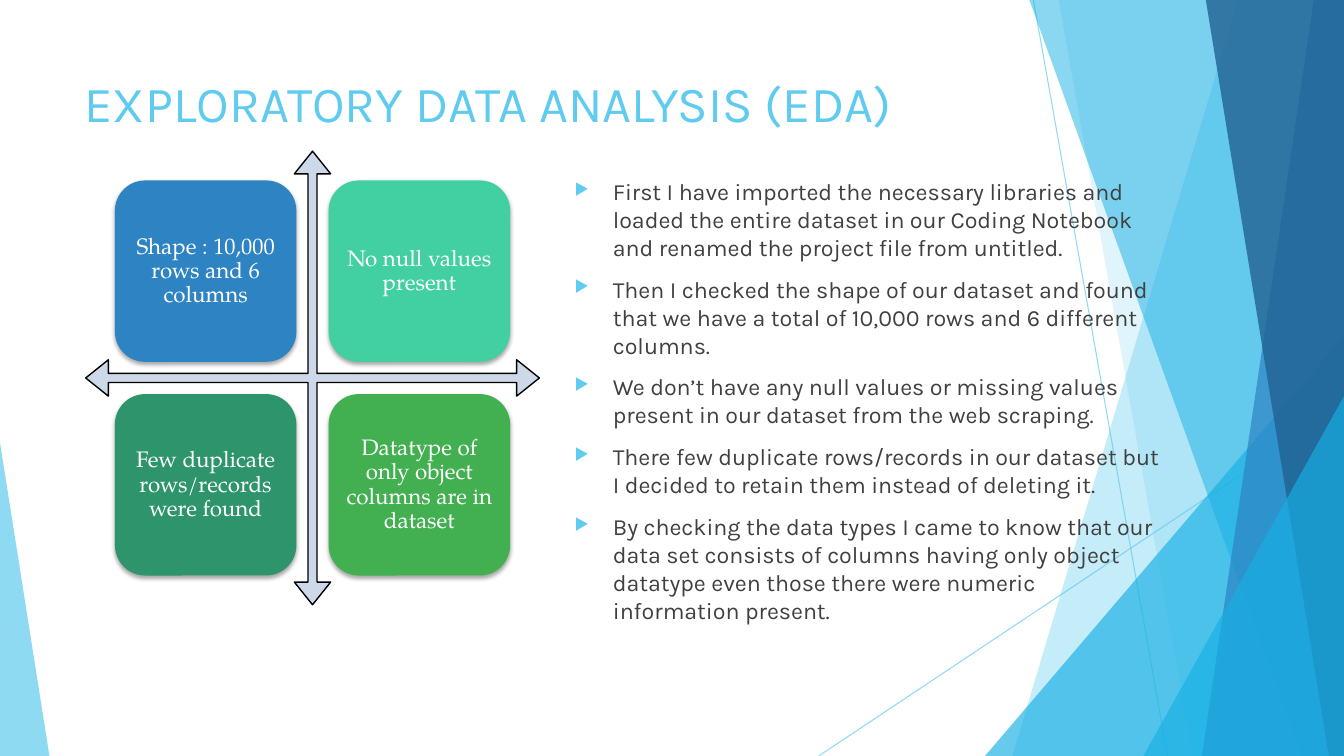
from lxml.etree import SubElement
from pptx import Presentation
from pptx.dml.color import RGBColor
from pptx.enum.shapes import MSO_CONNECTOR, MSO_SHAPE
from pptx.enum.text import MSO_ANCHOR, MSO_AUTO_SIZE, PP_ALIGN
from pptx.oxml.ns import qn
from pptx.util import Inches, Pt

SKY, CYAN, BLUE, NAVY = "5FCBEF", "17B0E4", "2E83C3", "226292"

RAYS = [((10.25, 0), (11.58, 7.5)), ((13.33, 4.03), (8.12, 7.5))]
LOWER_BANDS = [(12.28, 10.04, SKY, 36), (10.5, 11.83, SKY, 20)]
UPPER_BANDS = [
    (10.21, 12.91, CYAN, 50),
    (13.03, 11.92, BLUE, 70),
    (11.96, 13.18, NAVY, 80),
]
FINDINGS = [
    ("Shape : 10,000 rows and 6 columns", BLUE),
    ("No null values present", "42D0A2"),
    ("Few duplicate rows/records were found", "2E946B"),
    ("Datatype of only object columns are in dataset", "42B051"),
]
STEPS = [
    "First I have imported the necessary libraries and loaded the entire dataset in our "
    "Coding Notebook and renamed the project file from untitled.",
    "Then I checked the shape of our dataset and found that we have a total of 10,000 rows "
    "and 6 different columns.",
    "We don’t have any null values or missing values present in our dataset from the web "
    "scraping.",
    "There few duplicate rows/records in our dataset but I decided to retain them instead "
    "of deleting it.",
    "By checking the data types I came to know that our data set consists of columns having "
    "only object datatype even those there were numeric information present.",
]


def rgb(code):
    return RGBColor.from_string(code)


def box(*lengths):
    return [Inches(length) for length in lengths]


def set_all(target, values):
    for name, value in values.items():
        setattr(target, name, value)


def add_element(parent, tag, **attributes):
    return SubElement(parent, qn(tag), attributes)


def set_alpha(owner, percent):
    for color in owner.iter(qn("a:srgbClr")):
        add_element(color, "a:alpha", val=str(percent * 1000))


def paint(shape, color, alpha=100):
    shape.shadow.inherit = False
    shape.fill.solid()
    shape.fill.fore_color.rgb = rgb(color)
    shape.line.fill.background()
    if alpha < 100:
        set_alpha(shape._element.spPr, alpha)


def format_frame(frame, margin_x, margin_y, anchor):
    set_all(frame, {
        "word_wrap": True,
        "auto_size": MSO_AUTO_SIZE.NONE,
        "vertical_anchor": anchor,
        "margin_left": Inches(margin_x),
        "margin_right": Inches(margin_x),
        "margin_top": Inches(margin_y),
        "margin_bottom": Inches(margin_y),
    })


def write(paragraph, text, font, size, color, **layout):
    run = paragraph.add_run()
    run.text = text
    set_all(run.font, {"name": font, "size": Pt(size)})
    run.font.color.rgb = rgb(color)
    set_all(paragraph, layout)


def add_ray(slide, start, end):
    ray = slide.shapes.add_connector(MSO_CONNECTOR.STRAIGHT, *box(*start, *end))
    ray.line.width = Pt(0.75)
    ray.line.color.rgb = rgb(SKY)
    properties = ray._element.spPr
    set_alpha(properties, 70)
    add_element(properties, "a:effectLst")


def add_band(slide, top_x, bottom_x, color, alpha):
    outline = slide.shapes.build_freeform(*box(top_x, 0))
    corners = [(13.33, 0), (13.33, 7.5), (bottom_x, 7.5)]
    outline.add_line_segments([box(*corner) for corner in corners], close=True)
    paint(outline.convert_to_shape(), color, alpha)


def add_wedge(slide, left, top, width, apex, color, alpha):
    wedge = slide.shapes.add_shape(
        MSO_SHAPE.ISOSCELES_TRIANGLE, *box(left, top, width, 7.5 - top))
    wedge.adjustments[0] = apex
    paint(wedge, color, alpha)


def add_backdrop(slide):
    for start, end in RAYS:
        add_ray(slide, start, end)
    for band in LOWER_BANDS:
        add_band(slide, *band)
    add_wedge(slide, 9.77, 3.33, 3.56, 1, CYAN, 66)
    for band in UPPER_BANDS:
        add_band(slide, *band)
    add_wedge(slide, 11.34, 3.93, 1.99, 1, CYAN, 66)
    add_wedge(slide, 0, 4.39, 0.49, 0, SKY, 70)


def add_title(slide, text):
    title = slide.shapes.title
    title.left, title.top, title.width, title.height = box(0.74, 0.67, 9.4, 1.44)
    format_frame(title.text_frame, 0.1, 0.05, MSO_ANCHOR.TOP)
    write(title.text_frame.paragraphs[0], text, "Karla", 36, SKY, alignment=PP_ALIGN.LEFT)


def add_bullet(paragraph):
    properties = paragraph._p.get_or_add_pPr()
    properties.set("marL", str(Inches(0.38)))
    properties.set("indent", str(-Inches(0.38)))
    add_element(add_element(properties, "a:buClr"), "a:srgbClr", val=SKY)
    add_element(properties, "a:buSzPct", val="70000")
    add_element(properties, "a:buChar", char="▶")


def add_steps(slide, steps):
    frame = slide.shapes.add_textbox(*box(5.6, 1.71, 6.05, 4.54)).text_frame
    format_frame(frame, 0.1, 0.05, MSO_ANCHOR.TOP)
    for index, step in enumerate(steps):
        paragraph = frame.add_paragraph() if index else frame.paragraphs[0]
        write(paragraph, step, "Karla", 16.6, "404040", space_before=Pt(10))
        add_bullet(paragraph)


def add_axes(slide):
    axes = slide.shapes.add_shape(MSO_SHAPE.QUAD_ARROW, *box(0.85, 1.5, 4.5, 4.5))
    for index, ratio in enumerate((0.02, 0.04, 0.05)):
        axes.adjustments[index] = ratio
    paint(axes, "CDD9E9")
    axes.line.color.rgb = rgb("000000")
    axes.line.width = Pt(1)


def add_tile(slide, left, top, text, color):
    tile = slide.shapes.add_shape(MSO_SHAPE.ROUNDED_RECTANGLE, *box(left, top, 1.8, 1.8))
    paint(tile, color)
    effects = tile._element.spPr.find(qn("a:effectLst"))
    shadow = add_element(effects, "a:outerShdw", blurRad=str(Pt(3)), dist=str(Pt(2)),
                         dir="5400000", rotWithShape="0")
    add_element(shadow, "a:srgbClr", val="000000")
    set_alpha(shadow, 35)
    format_frame(tile.text_frame, 0.07, 0.07, MSO_ANCHOR.MIDDLE)
    write(tile.text_frame.paragraphs[0], text, "TeX Gyre Pagella", 16, "FFFFFF",
          alignment=PP_ALIGN.CENTER, line_spacing=0.9)


def add_matrix(slide, findings):
    add_axes(slide)
    for index, (text, color) in enumerate(findings):
        row, column = divmod(index, 2)
        add_tile(slide, 1.14 + 2.12 * column, 1.79 + 2.12 * row, text, color)


def main():
    deck = Presentation()
    deck.slide_width, deck.slide_height = box(13.33, 7.5)
    slide = deck.slides.add_slide(deck.slide_layouts[5])
    add_backdrop(slide)
    add_title(slide, "EXPLORATORY DATA ANALYSIS (EDA)")
    add_steps(slide, STEPS)
    add_matrix(slide, FINDINGS)
    deck.save("out.pptx")


if __name__ == "__main__":
    main()
